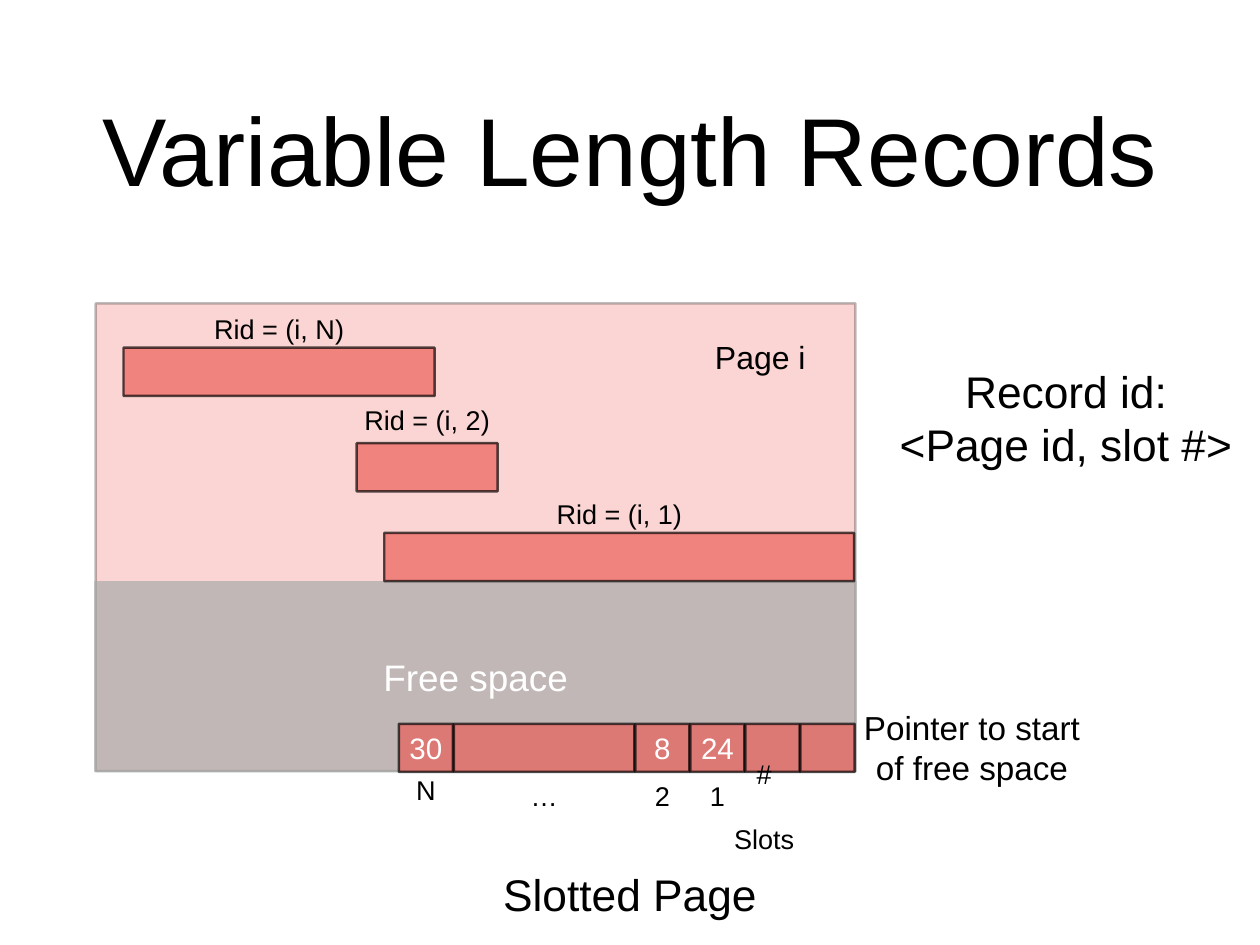
from typing import NamedTuple

from lxml.etree import SubElement
from pptx import Presentation
from pptx.dml.color import RGBColor
from pptx.enum.shapes import MSO_SHAPE
from pptx.enum.text import MSO_ANCHOR, PP_ALIGN
from pptx.oxml.ns import qn
from pptx.util import Inches, Pt

SLIDE_WIDTH, SLIDE_HEIGHT = Inches(14.22), Inches(10.67)
COLORS = {"black": "000000", "white": "FFFFFF", "red": "EC5D57", "gray": "A6AAA9"}
FONT = "Arial"
BAR_HEIGHT = 5.1
LABEL_HEIGHT = 4.4
SLOT_TOP = 76.6
SLOT_START = 31.65
SLOT_PITCH = 4.37
SLOT_GAP = 0.07


class Box(NamedTuple):
    """Position and size in percent of the slide's width and height."""

    left: float
    top: float
    width: float
    height: float

    def lengths(self) -> tuple[int, int, int, int]:
        return (
            int(SLIDE_WIDTH * self.left / 100),
            int(SLIDE_HEIGHT * self.top / 100),
            int(SLIDE_WIDTH * self.width / 100),
            int(SLIDE_HEIGHT * self.height / 100),
        )


class Caption(NamedTuple):
    text: str
    box: Box
    size: float
    wrap: bool = False
    inset: float = 0.06
    space_before: float = 0


class Record(NamedTuple):
    name: str
    left: float
    top: float
    width: float
    label_top: float


class Slot(NamedTuple):
    value: str = ""
    label: str = ""
    span: float = SLOT_PITCH
    label_top: float = 82


CAPTIONS = [
    Caption("Variable Length Records", Box(7.3, 4.6, 85.4, 22.1), 78.4, wrap=True, inset=0),
    Caption("Slotted Page", Box(39.5, 91.2, 21, 6.7), 36),
    Caption("Record id:\n<Page id, slot #>", Box(70.6, 38, 28, 12.3), 36),
    Caption("Page i", Box(56.3, 35.2, 8.1, 5.1), 26),
    Caption("#\nSlots", Box(57.6, 79.7, 6.1, 11.2), 22, space_before=26),
    Caption("Pointer to start of free space", Box(67.7, 74.4, 18.9, 9.4), 27, wrap=True),
]
RECORDS = [
    Record("Rid = (i, N)", 9.8, 36.8, 24.7, 32.6),
    Record("Rid = (i, 2)", 28.3, 46.9, 11.2, 42.2),
    Record("Rid = (i, 1)", 30.5, 56.4, 37.3, 52.2),
]
SLOTS = [
    Slot("30", "N", label_top=81.4),
    Slot(label="…", span=14.4),
    Slot("8", "2"),
    Slot("24", "1"),
    Slot(),
    Slot(),
]


def write_text(shape, text: str, *, size: float, color: str = "black", wrap: bool = True,
               inset: float = 0, space_before: float = 0) -> None:
    """Fill a shape with centred text, one paragraph a line."""
    frame = shape.text_frame
    frame.word_wrap = wrap
    frame.vertical_anchor = MSO_ANCHOR.MIDDLE
    frame.margin_left = frame.margin_right = Inches(inset)
    frame.margin_top = frame.margin_bottom = Inches(inset)
    frame.text = text
    for index, paragraph in enumerate(frame.paragraphs):
        paragraph.alignment = PP_ALIGN.CENTER
        paragraph.space_before = Pt(space_before if index else 0)
        paragraph.font.size = Pt(size)
        paragraph.font.name = FONT
        paragraph.font.color.rgb = RGBColor.from_string(COLORS[color])


def paint(fill, color: str, opacity: int) -> None:
    """Give a fill a solid colour with an opacity in percent."""
    fill.solid()
    fill.fore_color.rgb = RGBColor.from_string(COLORS[color])
    color_element = fill._xPr.find(qn("a:solidFill"))[0]
    SubElement(color_element, qn("a:alpha")).set("val", str(opacity * 1000))


def add_rectangle(slide, box: Box, *, color: str = "red", opacity: int = 68,
                  outlined: bool = True):
    shape = slide.shapes.add_shape(MSO_SHAPE.RECTANGLE, *box.lengths())
    shape.shadow.inherit = False
    paint(shape.fill, color, opacity)
    if outlined:
        shape.line.width = Pt(2)
        paint(shape.line.fill, "black", opacity)
    else:
        shape.line.fill.background()
    return shape


def add_caption(slide, caption: Caption) -> None:
    shape = slide.shapes.add_textbox(*caption.box.lengths())
    write_text(shape, caption.text, size=caption.size, wrap=caption.wrap,
               inset=caption.inset, space_before=caption.space_before)


def add_label(slide, text: str, left: float, top: float, width: float) -> None:
    add_caption(slide, Caption(text, Box(left, top, width, LABEL_HEIGHT), 22))


def add_record(slide, record: Record) -> None:
    add_rectangle(slide, Box(record.left, record.top, record.width, BAR_HEIGHT))
    add_label(slide, record.name, record.left, record.label_top, record.width)


def add_slots(slide) -> None:
    """Lay the slot directory out from left to right."""
    left = SLOT_START
    for slot in SLOTS:
        width = slot.span - SLOT_GAP
        shape = add_rectangle(slide, Box(left, SLOT_TOP, width, BAR_HEIGHT))
        if slot.value:
            write_text(shape, slot.value, size=24, color="white")
        if slot.label:
            add_label(slide, slot.label, left, slot.label_top, width)
        left += slot.span


def main() -> None:
    presentation = Presentation()
    presentation.slide_width, presentation.slide_height = SLIDE_WIDTH, SLIDE_HEIGHT
    slide = presentation.slides.add_slide(presentation.slide_layouts[6])

    add_rectangle(slide, Box(7.6, 32.1, 60.3, 49.5), opacity=26)
    free_space = add_rectangle(slide, Box(7.5, 61.5, 60.5, 20.2), color="gray",
                               opacity=69, outlined=False)
    write_text(free_space, "Free space", size=30, color="white")
    for record in RECORDS:
        add_record(slide, record)
    add_slots(slide)
    for caption in CAPTIONS:
        add_caption(slide, caption)

    presentation.save("out.pptx")


if __name__ == "__main__":
    main()
